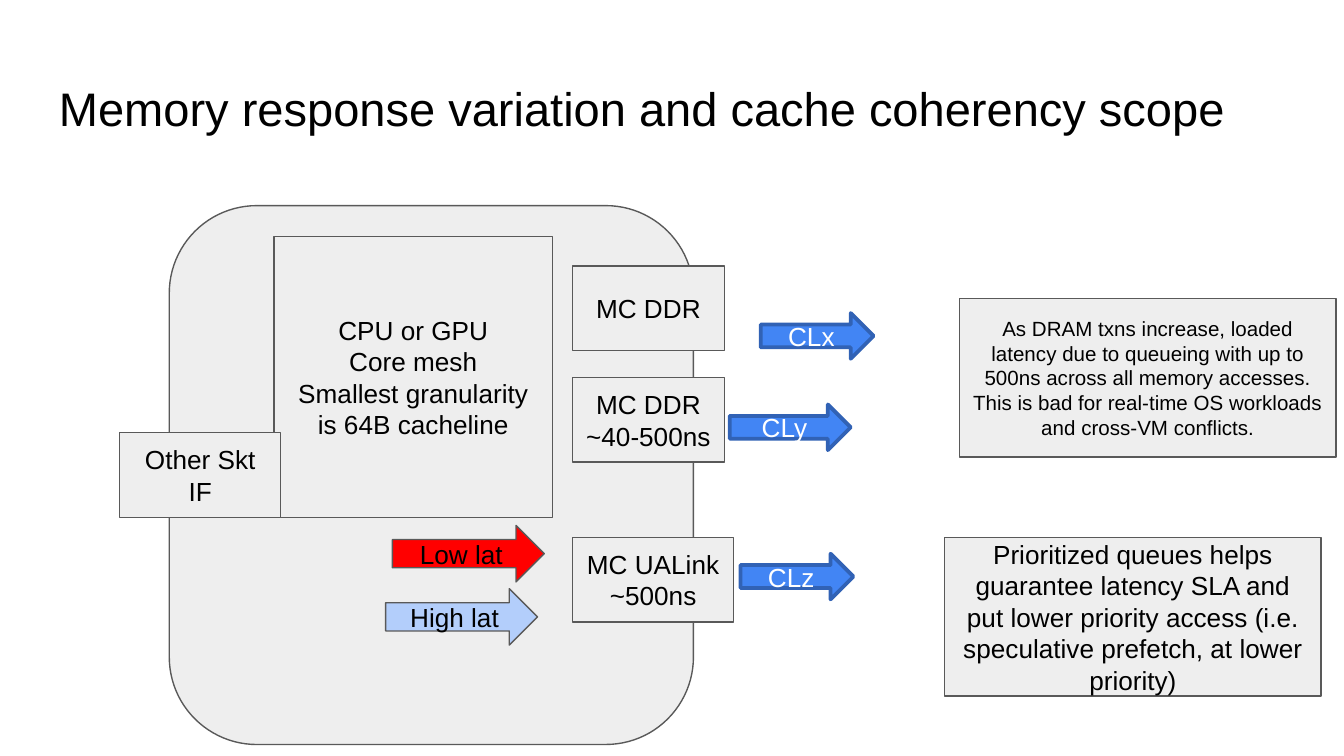
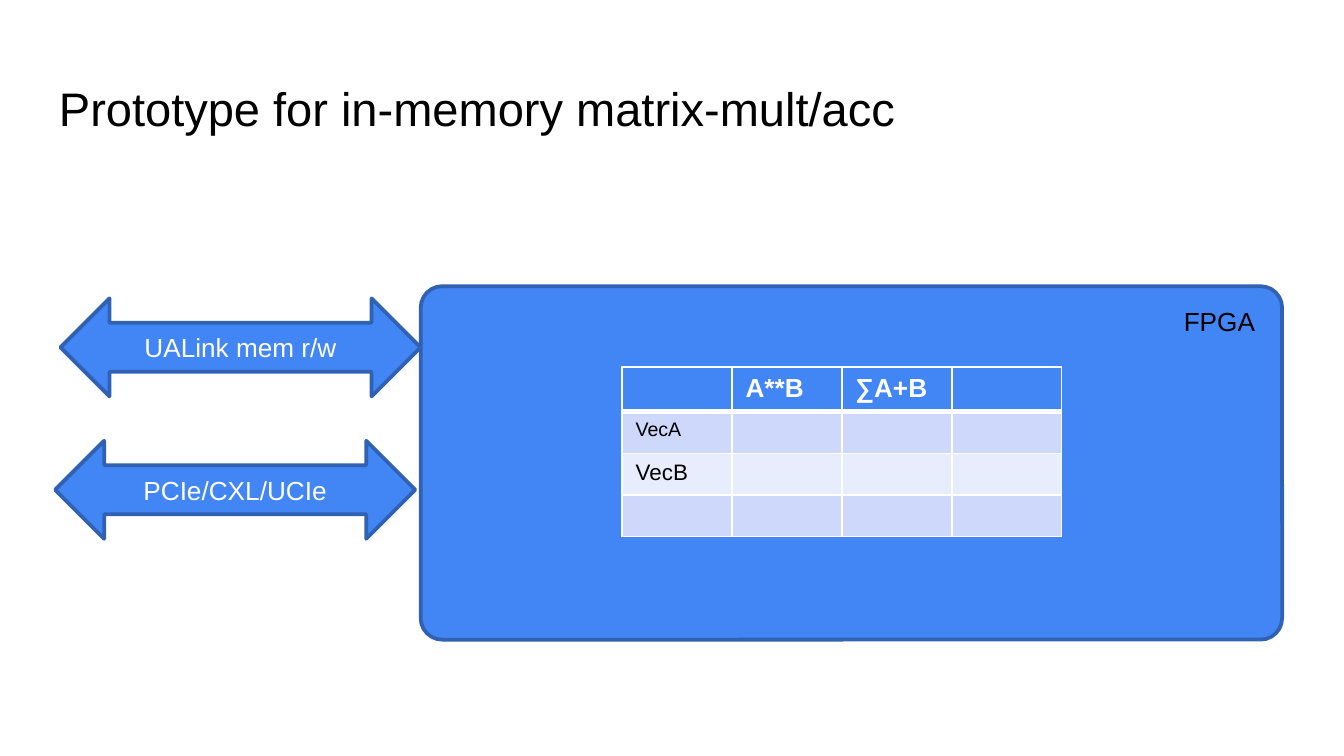
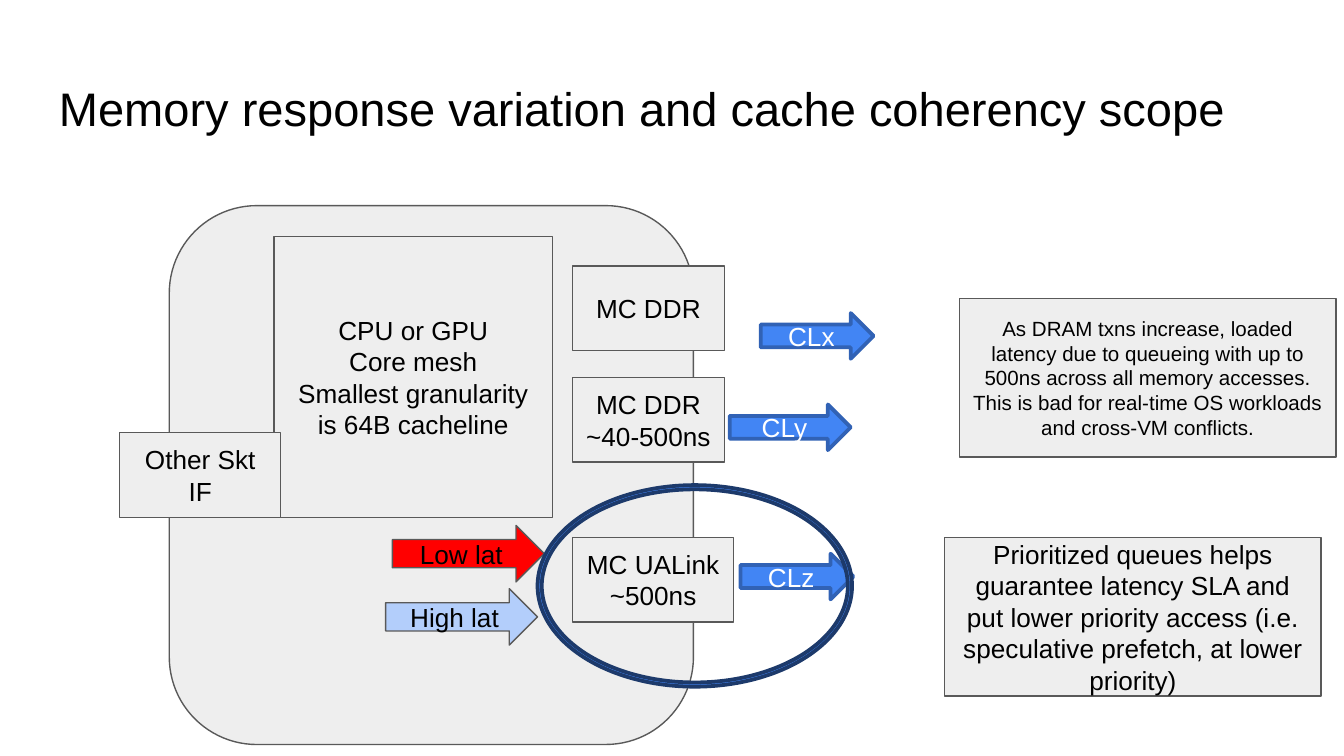
from lxml.etree import SubElement
from pptx import Presentation
from pptx.dml.color import RGBColor
from pptx.enum.shapes import MSO_SHAPE
from pptx.enum.text import MSO_ANCHOR, PP_ALIGN
from pptx.oxml.ns import qn
from pptx.util import Emu, Pt

PX = 9144  # EMU per px, 100 px to the inch
FONT = "Arial"
BLACK = RGBColor(0x00, 0x00, 0x00)
WHITE = RGBColor(0xFF, 0xFF, 0xFF)
GREY = RGBColor(0xEE, 0xEE, 0xEE)
DARK_GREY = RGBColor(0x59, 0x59, 0x59)
BLUE = RGBColor(0x42, 0x85, 0xF4)
BLUE_EDGE = RGBColor(0x31, 0x62, 0xB5)
FPGA_EDGE = RGBColor(0x30, 0x61, 0xB2)
NAVY = RGBColor(0x1D, 0x3A, 0x6B)
PALE_BLUE = RGBColor(0xB3, 0xCE, 0xFB)
RED = RGBColor(0xFF, 0x00, 0x00)
BAND_DARK = RGBColor(0xCD, 0xD8, 0xFB)
BAND_LIGHT = RGBColor(0xE8, 0xED, 0xFD)

TITLE_BOX = (34, 49, 932, 63)
CHIP_BOX = (126, 153, 390, 401)
NOTES_BOX = (703, 222, 291, 296)
LINKS_BOX = (41, 222, 272, 179)
FPGA_BOX = (313, 213, 641, 263)


def px(*lengths):
    return [Emu(n * PX) for n in lengths]


def within(box, x, y, w, h):
    """Box at an offset from the top left corner of another box."""
    return box[0] + x, box[1] + y, w, h


def write(tf, text, size, color, align, anchor, inset_y=10):
    tf.word_wrap = True
    tf.vertical_anchor = anchor
    tf.margin_left, tf.margin_top, tf.margin_right, tf.margin_bottom = px(10, inset_y, 10, inset_y)
    tf.text = text
    for p in tf.paragraphs:
        p.alignment = align
        for r in p.runs:
            r.font.name, r.font.size = FONT, Pt(size)
            r.font.color.rgb = color


def add_label(slide, box, text, size, anchor, inset_y=10):
    tf = slide.shapes.add_textbox(*px(*box)).text_frame
    write(tf, text, size, BLACK, PP_ALIGN.LEFT, anchor, inset_y)


def add_block(slide, kind, box, text="", fill=GREY, edge=DARK_GREY, weight=0.75,
              color=BLACK, size=14, inset_y=10, adj=None):
    sp = slide.shapes.add_shape(kind, *px(*box))
    sp.shadow.inherit = False
    sp.fill.solid()
    sp.fill.fore_color.rgb = fill
    sp.line.color.rgb = edge
    sp.line.width = Pt(weight)
    if adj is not None:
        sp.adjustments[0] = adj
    if text:
        write(sp.text_frame, text, size, color, PP_ALIGN.CENTER, MSO_ANCHOR.MIDDLE, inset_y)


def add_slide(prs, title):
    slide = prs.slides.add_slide(prs.slide_layouts[6])
    add_label(slide, TITLE_BOX, title, 25.2, MSO_ANCHOR.TOP)
    return slide


def draw_chip(slide, box):
    add_block(slide, MSO_SHAPE.ROUNDED_RECTANGLE, box, adj=0.167)
    # Memory controllers, core mesh and socket interface
    for x, y, w, h, text in (
        (300, 45, 113, 63, "MC DDR"),
        (300, 128, 113, 63, "MC DDR\n~40-500ns"),
        (300, 247, 120, 63, "MC UALink\n~500ns"),
        (78, 23, 207, 209, "CPU or GPU\nCore mesh\nSmallest granularity is 64B cacheline"),
        (-37, 169, 120, 63, "Other Skt IF"),
    ):
        add_block(slide, MSO_SHAPE.RECTANGLE, within(box, x, y, w, h), text)
    # Latency key
    for x, y, text, fill in ((166, 238, "Low lat", RED), (161, 285, "High lat", PALE_BLUE)):
        add_block(slide, MSO_SHAPE.RIGHT_ARROW, within(box, x, y, 113, 42), text, fill)
    # Cache lines leaving the controllers
    for x, y, w, text in ((425, 259, 84, "CLz"), (417, 148, 90, "CLy"), (440, 80, 84, "CLx")):
        add_block(slide, MSO_SHAPE.RIGHT_ARROW, within(box, x, y, w, 34), text,
                  BLUE, BLUE_EDGE, 2, WHITE, inset_y=5)


def draw_notes(slide, box):
    for x, y, size, text in (
        (11, 0, 11, "As DRAM txns increase, loaded latency due to queueing with up to 500ns "
                    "across all memory accesses. This is bad for real-time OS workloads "
                    "and cross-VM conflicts."),
        (0, 178, 14, "Prioritized queues helps guarantee latency SLA and put lower priority "
                     "access (i.e. speculative prefetch, at lower priority)"),
    ):
        add_block(slide, MSO_SHAPE.RECTANGLE, within(box, x, y, 280, 118), text, size=size)


def memory_slide(prs, highlight=False):
    slide = add_slide(prs, "Memory response variation and cache coherency scope")
    draw_chip(slide, CHIP_BOX)
    draw_notes(slide, NOTES_BOX)
    if highlight:  # Ring around the UALink path
        add_block(slide, MSO_SHAPE.DONUT, within(CHIP_BOX, 274, 208, 234, 150),
                  fill=BLUE, edge=NAVY, weight=2, adj=0.021)


def draw_links(slide, box):
    for x, y, text in ((4, 0, "UALink mem r/w"), (0, 106, "PCIe/CXL/UCIe")):
        add_block(slide, MSO_SHAPE.LEFT_RIGHT_ARROW, within(box, x, y, 268, 73), text,
                  BLUE, FPGA_EDGE, 2, WHITE, inset_y=5)


def set_borders(cell, bottom):
    tc_pr = cell._tc.get_or_add_tcPr()
    for i, (side, weight) in enumerate((("L", 1), ("R", 1), ("T", 1), ("B", bottom))):
        ln = tc_pr.makeelement(qn(f"a:ln{side}"), w=str(Pt(weight)))
        fill = SubElement(ln, qn("a:solidFill"))
        SubElement(fill, qn("a:srgbClr"), val=str(WHITE))
        tc_pr.insert(i, ln)


def draw_matrix(slide, box):
    rows = (  # texts, size, fill
        (("", "A**B", "∑A+B", ""), 14, BLUE),
        (("VecA", "", "", ""), 10.5, BAND_DARK),
        (("VecB", "", "", ""), 12, BAND_LIGHT),
        (("", "", "", ""), 12, BAND_DARK),
    )
    table = slide.shapes.add_table(len(rows), 4, *px(*box)).table
    for i, (texts, size, fill) in enumerate(rows):
        header = i == 0
        for j, text in enumerate(texts):
            cell = table.cell(i, j)
            cell.fill.solid()
            cell.fill.fore_color.rgb = fill
            set_borders(cell, 3 if header else 1)
            write(cell.text_frame, text, size, WHITE if header else BLACK,
                  PP_ALIGN.LEFT, MSO_ANCHOR.TOP, 5)
            p = cell.text_frame.paragraphs[0]
            for r in p.runs:
                r.font.bold = header
            if not text:  # Keeps empty cells from growing the row
                SubElement(p._p, qn("a:endParaRPr"), sz="1200")


def draw_fpga(slide, box):
    add_block(slide, MSO_SHAPE.ROUNDED_RECTANGLE, box, fill=BLUE, edge=FPGA_EDGE,
              weight=2, adj=0.061)
    draw_matrix(slide, within(box, 150, 60, 327, 124))
    add_label(slide, within(box, 558, 9, 83, 34), "FPGA", 14, MSO_ANCHOR.TOP, 5)


def prototype_slide(prs):
    slide = add_slide(prs, "Prototype for in-memory matrix-mult/acc")
    draw_fpga(slide, FPGA_BOX)
    draw_links(slide, LINKS_BOX)


def main():
    prs = Presentation()
    prs.slide_width = Emu(1000 * PX)
    prs.slide_height = Emu(prs.slide_width * 9 // 16)
    memory_slide(prs)
    prototype_slide(prs)
    memory_slide(prs, highlight=True)
    prs.save("out.pptx")


if __name__ == "__main__":
    main()
